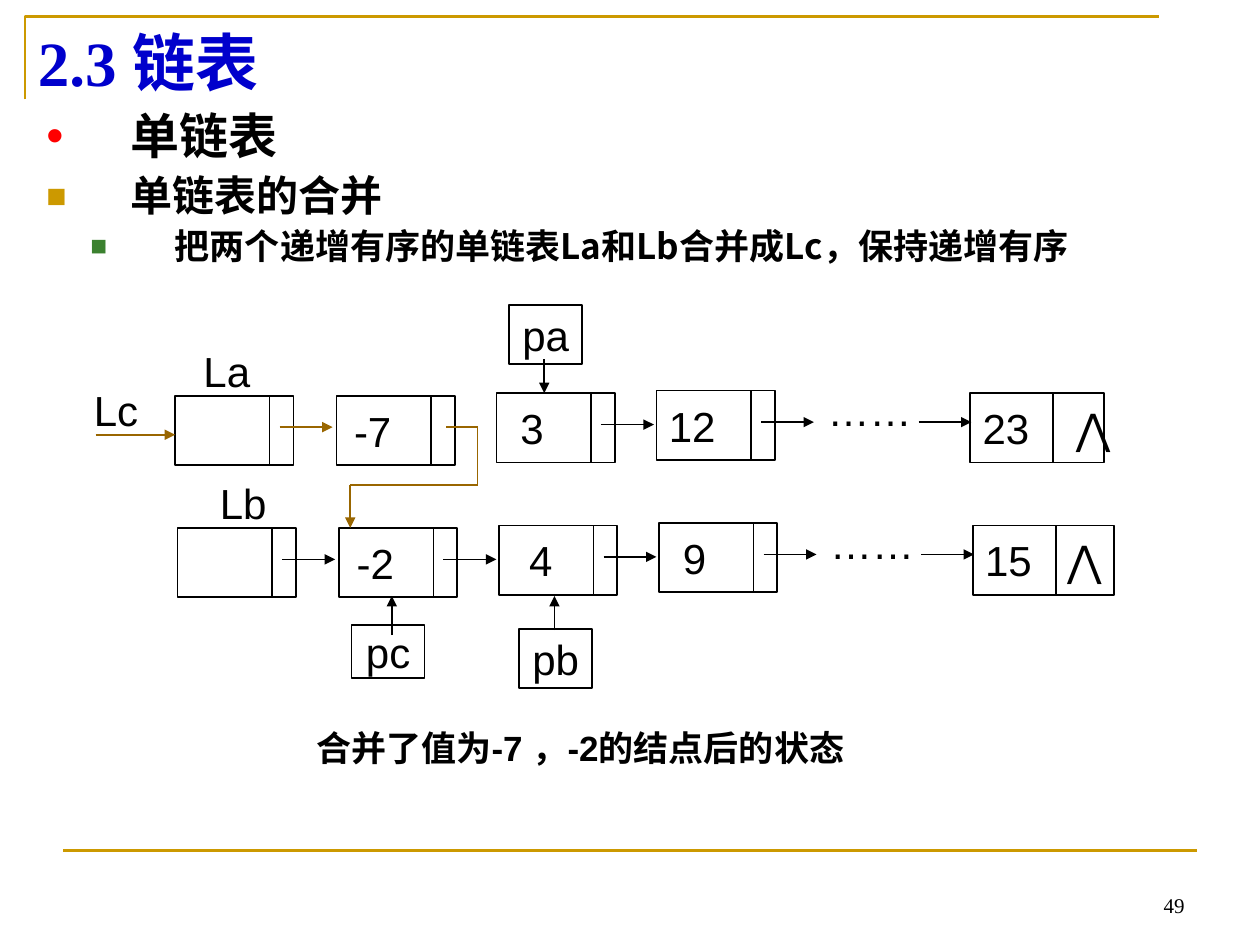
from pptx import Presentation
from pptx.dml.color import RGBColor
from pptx.enum.shapes import MSO_CONNECTOR, MSO_SHAPE
from pptx.enum.text import MSO_ANCHOR, PP_ALIGN
from pptx.oxml.ns import qn
from pptx.util import Inches, Pt
from lxml import etree

STRAIGHT, RECTANGLE = MSO_CONNECTOR.STRAIGHT, MSO_SHAPE.RECTANGLE
TOP, MIDDLE, BOTTOM = MSO_ANCHOR.TOP, MSO_ANCHOR.MIDDLE, MSO_ANCHOR.BOTTOM
LEFT, CENTER, RIGHT = PP_ALIGN.LEFT, PP_ALIGN.CENTER, PP_ALIGN.RIGHT

BLACK = RGBColor(0x00, 0x00, 0x00)
BLUE = RGBColor(0x00, 0x00, 0xCC)
RED = RGBColor(0xFF, 0x00, 0x00)
GOLD = RGBColor(0xCC, 0x99, 0x00)
GREEN = RGBColor(0x3B, 0x81, 0x2F)
BROWN = RGBColor(0x99, 0x66, 0x00)
SANS, SERIF, CHINESE = "Arial", "Times New Roman", "Noto Sans CJK SC"

# Content
TITLE = "2.3 链表"
CAPTION = "合并了值为-7 ，-2的结点后的状态"
PAGE_NUMBER = "49"
# text, size, space before, left indent, bullet, bullet colour, bullet size %
OUTLINE = [
    ("单链表", 28, 0, 0.67, "•", RED, 100),
    ("单链表的合并", 24, 6, 0.67, "■", GOLD, 80),
    ("把两个递增有序的单链表La和Lb合并成Lc，保持递增有序", 20, 5, 1.02, "■", GREEN, 80),
]
# Each list: origin, (value, text inset) per node, width and tab of the last node,
# and the colour of the link after each node (None: relinked elsewhere)
LISTS = [
    ((1.39, 3.14), [("", 0.1), ("-7", 0.14), ("3", 0.19), ("12", 0.1), ("23\t⋀", 0.1)],
     1.06, 0.74, [BROWN, None, BLACK, BLACK]),
    ((1.41, 4.19), [("", 0.1), ("-2", 0.14), ("4", 0.24), ("9", 0.19), ("15\t⋀", 0.1)],
     1.12, 0.65, [BLACK, BLACK, BLACK, BLACK]),
]
NODE_OFFSETS = [(0, 0), (1.28, 0), (2.55, -0.02), (3.82, -0.04), (6.31, -0.02)]
NODE_WIDTH, NODE_HEIGHT, LINK_LENGTH = 0.94, 0.55, 0.42
LABELS = [("La", 1.46, 2.69, 0.68, 0.5), ("Lb", 1.47, 3.74, 0.92, 0.5),
          ("Lc", 0.63, 3.04, 0.58, 0.42)]
# name, box, arrow start and end
POINTERS = [
    ("pa", (4.04, 2.42, 0.58, 0.47), (4.32, 2.85), (4.32, 3.12)),
    ("pb", (4.12, 4.99, 0.58, 0.47), (4.4, 5), (4.4, 4.73)),
    ("pc", (2.79, 4.96, 0.58, 0.42), (3.11, 5.04), (3.11, 4.73)),
]
MERGED_PATH = [(3.54, 3.39), (3.79, 3.39), (3.79, 3.85), (2.78, 3.85), (2.78, 4.19)]

deck = Presentation()
deck.slide_width, deck.slide_height = Inches(10), Inches(7.5)
page = deck.slides.add_slide(deck.slide_layouts[5])


def add_line(start, end, color=BLACK, width=1, arrow=False):
    line = page.shapes.add_connector(STRAIGHT, *map(Inches, start + end))
    line.line.color.rgb, line.line.width = color, Pt(width)
    if arrow:
        etree.SubElement(line.line._get_or_add_ln(), qn("a:tailEnd"), type="triangle")
    etree.SubElement(line._element.spPr, qn("a:effectLst"))


def format_span(span, size, font=SANS, color=BLACK, bold=False):
    for name, value in {"size": Pt(size), "name": font, "bold": bold}.items():
        setattr(span.font, name, value)
    span.font.color.rgb = color
    etree.SubElement(span._r.get_or_add_rPr(), qn("a:ea"), typeface=CHINESE)


def set_frame(box, anchor=MIDDLE, wrap=True, inset=0.1):
    frame = box.text_frame
    values = {"word_wrap": wrap, "vertical_anchor": anchor,
              "margin_left": Inches(inset), "margin_right": Inches(0.1),
              "margin_top": Inches(0.05), "margin_bottom": Inches(0.05)}
    for name, value in values.items():
        setattr(frame, name, value)
    return frame


def write(box, text, size=24, align=CENTER, tab=None, frame_format=None, **look):
    para = set_frame(box, **(frame_format or {})).paragraphs[0]
    para.alignment = align
    if tab:
        tabs = etree.SubElement(para._p.get_or_add_pPr(), qn("a:tabLst"))
        etree.SubElement(tabs, qn("a:tab"), pos=str(Inches(tab)), algn="l")
    span = para.add_run()
    span.text = text
    format_span(span, size, **look)


def add_text(place, text, **style):
    write(page.shapes.add_textbox(*map(Inches, place)), text, **style)


def add_box(place):
    box = page.shapes.add_shape(RECTANGLE, *map(Inches, place))
    box.shadow.inherit = False
    box.fill.background()
    box.line.color.rgb, box.line.width = BLACK, Pt(1)
    return box


# Frame lines and page number
builder = page.shapes.build_freeform(Inches(0.2), Inches(0.79), scale=1.0)
builder.add_line_segments([(Inches(0.2), Inches(0.13)), (Inches(9.2), Inches(0.13))], close=False)
corner = builder.convert_to_shape()
corner.shadow.inherit = False
corner.fill.background()
corner.line.color.rgb, corner.line.width = GOLD, Pt(1.5)
add_line((0.5, 6.75), (9.5, 6.75), GOLD, 1.5)
add_text((7.17, 6.83, 2.33, 0.5), PAGE_NUMBER, size=12, align=RIGHT, font=SERIF,
         frame_format={"anchor": BOTTOM})

# Title
title = page.shapes.title
title.left, title.top, title.width, title.height = map(Inches, (0.2, 0.13, 9, 0.71))
write(title, TITLE, size=36, align=LEFT, font=SERIF, color=BLUE, bold=True)

# Outline
outline = page.shapes.add_textbox(*map(Inches, (0.27, 0.84, 9.34, 1.43)))
frame = set_frame(outline, TOP)
for index, (text, size, before, indent, bullet, color, percent) in enumerate(OUTLINE):
    para = frame.add_paragraph() if index else frame.paragraphs[0]
    para.line_spacing, para.space_before = 0.9, Pt(before)
    para.level = 1 if indent > 1 else 0
    props = para._p.get_or_add_pPr()
    props.set("marL", str(Inches(indent)))
    props.set("indent", str(Inches(-0.67)))
    bullet_color = etree.SubElement(props, qn("a:buClr"))
    etree.SubElement(bullet_color, qn("a:srgbClr"), val=str(color))
    etree.SubElement(props, qn("a:buSzPct"), val=str(percent * 1000))
    etree.SubElement(props, qn("a:buFont"), typeface=SANS)
    etree.SubElement(props, qn("a:buChar"), char=bullet)
    span = para.add_run()
    span.text = text
    format_span(span, size, CHINESE, bold=True)

# Linked lists
for (left, top), nodes, last_width, last_tab, links in LISTS:
    for index, ((value, inset), (dx, dy)) in enumerate(zip(nodes, NODE_OFFSETS)):
        x, y = left + dx, top + dy
        last = index == len(nodes) - 1
        box = add_box((x, y, last_width if last else NODE_WIDTH, NODE_HEIGHT))
        if value:
            write(box, value, align=LEFT, tab=last_tab if last else None,
                  frame_format={"wrap": False, "inset": inset})
        divider = x + (0.66 if last else 0.75)
        add_line((divider, y), (divider, y + NODE_HEIGHT))
        if not last and links[index]:
            start = x + 0.83
            add_line((start, y + 0.25), (start + LINK_LENGTH, y + 0.25), links[index], arrow=True)
    add_text((left + 5.08, top - 0.16, 0.94, NODE_HEIGHT), "……", align=LEFT,
             frame_format={"wrap": False})
    add_line((left + 5.9, top + 0.21), (left + 5.9 + LINK_LENGTH, top + 0.21), arrow=True)

# List names, pointers and the merged path
for text, *place in LABELS:
    add_text(place, text, frame_format={"wrap": False})
for name, place, start, end in POINTERS:
    write(add_box(place), name, frame_format={"wrap": False})
    add_line(start, end, arrow=True)
add_line((0.76, 3.45), (1.39, 3.45), BROWN, arrow=True)
for start, end in zip(MERGED_PATH, MERGED_PATH[1:]):
    add_line(start, end, BROWN, arrow=end == MERGED_PATH[-1])

# Caption
add_text((1.69, 5.7, 5.83, 0.47), CAPTION, size=20, bold=True)

deck.save("out.pptx")
